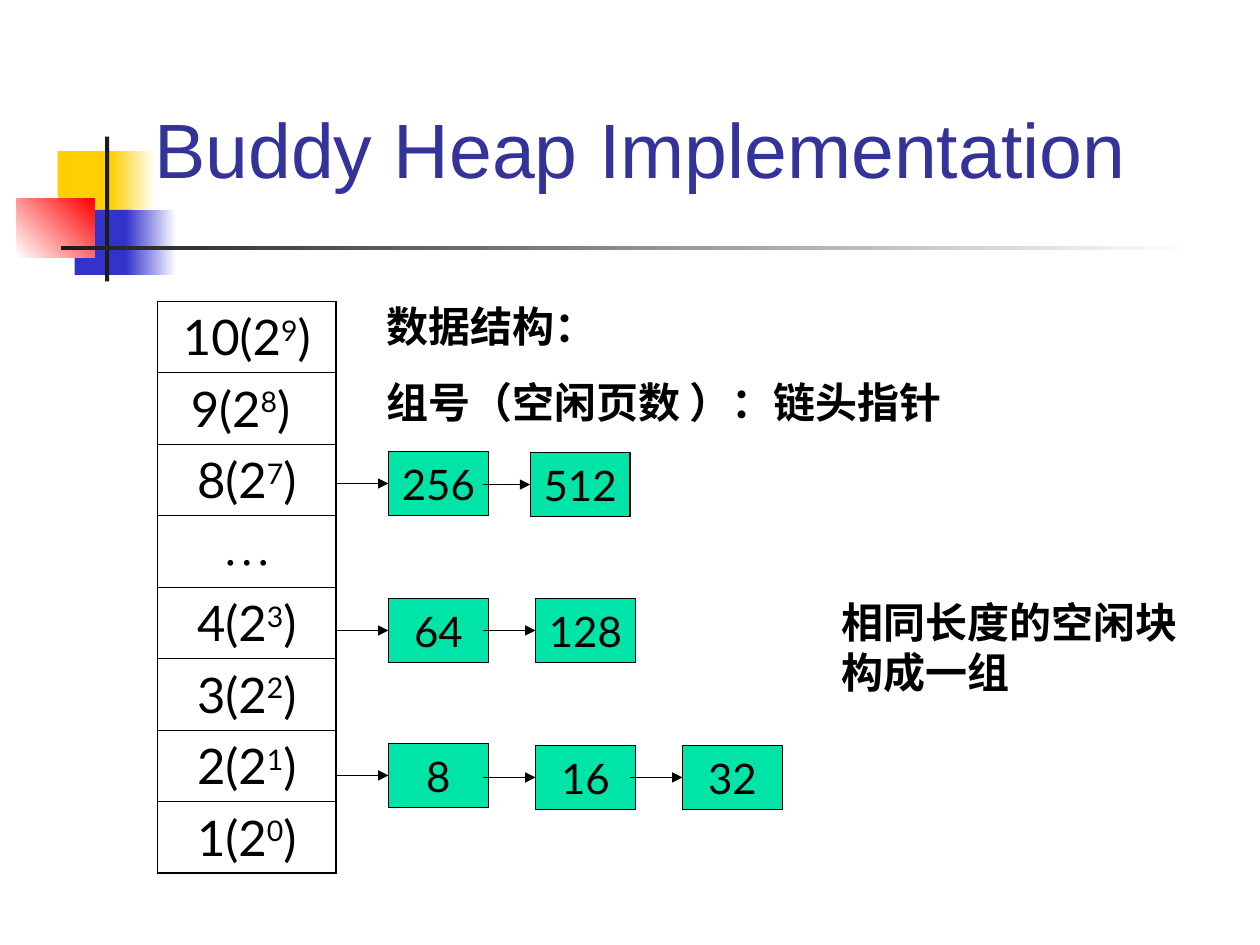
from lxml import etree
from pptx import Presentation
from pptx.dml.color import RGBColor
from pptx.enum import shapes, text
from pptx.oxml import ns
from pptx import util as u

COLUMNS, ROWS = 120, 90
BLACK = RGBColor(0x00, 0x00, 0x00)
WHITE = RGBColor(0xFF, 0xFF, 0xFF)
CHARCOAL = RGBColor(0x1C, 0x1C, 0x1C)
YELLOW = RGBColor(0xFF, 0xCF, 0x01)
BLUE = RGBColor(0x33, 0x33, 0xCC)
RED = RGBColor(0xFF, 0x00, 0x00)
INDIGO = RGBColor(0x33, 0x33, 0x99)
GREEN = RGBColor(0x00, 0xE4, 0xA8)

TABLE_LEFT, TABLE_TOP, TABLE_WIDTH, ROW_HEIGHT = 15, 28.7, 17, 6.8
BLOCK_WIDTH, BLOCK_HEIGHT = 9.5, 6.1
CHAIN_START, CHAIN_STEP = 32, 14

GROUPS = [("10", "9", ""), ("9", "8", " "), ("8", "7", ""), None,
          ("4", "3", ""), ("3", "2", ""), ("2", "1", ""), ("1", "0", "")]

CHAINS = [
    [("256", 37, 43), ("512", 50.5, 43.1)],
    [("64", 37, 57), ("128", 51, 57)],
    [("8", 37, 70.8), ("16", 51, 71), ("32", 65, 71)],
]

DECORATIONS = [
    ((5.5, 14.4, 5.8, 6.2), (YELLOW,), 0),
    ((10.5, 14.4, 4.3, 6.2), (YELLOW, WHITE), 0),
    ((7.1, 20, 5.5, 6.2), (BLUE,), 0),
    ((12, 20, 4.8, 6.2), (BLUE, WHITE), 0),
    ((1.6, 18.9, 7.4, 5.6), (WHITE, RED), 45),
    ((10, 13, 0.4, 13.8), (CHARCOAL,), 0),
    ((5.8, 23.4, 108, 0.4), (CHARCOAL, WHITE), 0),
]


def write(frame, *lines, font="Lato", size=24, color=BLACK, bold=False,
          align=text.PP_ALIGN.LEFT, gap=0):
    for index, line in enumerate(lines):
        para = frame.add_paragraph() if index else frame.paragraphs[0]
        para.alignment = align
        if index:
            para.space_before = u.Pt(gap)
        for content, baseline in line:
            span = para.add_run()
            span.text = content
            span.font.name = font
            span.font.size = u.Pt(size)
            span.font.bold = bold
            span.font.color.rgb = color
            if baseline:
                span.font._element.set("baseline", str(baseline * 1000))


class SlideBuilder:
    def __init__(self, deck):
        self.width, self.height = deck.slide_width, deck.slide_height
        self.page = deck.slides.add_slide(deck.slide_layouts[6])

    def across(self, columns):
        return u.Emu(round(self.width * columns / COLUMNS))

    def down(self, rows):
        return u.Emu(round(self.height * rows / ROWS))

    def area(self, left, top, width, height):
        return (self.across(left), self.down(top),
                self.across(width), self.down(height))

    def rectangle(self, place, colors, angle=0):
        box = self.page.shapes.add_shape(
            shapes.MSO_SHAPE.RECTANGLE, *self.area(*place))
        box.shadow.inherit = False
        box.line.fill.background()
        if len(colors) == 1:
            box.fill.solid()
            box.fill.fore_color.rgb = colors[0]
        else:
            box.fill.gradient()
            box.fill.gradient_angle = angle
            for stop, color in zip(box.fill.gradient_stops, colors):
                stop.color.rgb = color
        return box

    def block(self, label, left, top):
        box = self.rectangle((left, top, BLOCK_WIDTH, BLOCK_HEIGHT), (GREEN,))
        box.line.color.rgb = BLACK
        box.line.width = u.Pt(0.75)
        box.text_frame.word_wrap = False
        box.text_frame.vertical_anchor = text.MSO_ANCHOR.MIDDLE
        write(box.text_frame, [(label, 0)], align=text.PP_ALIGN.CENTER)
        return box

    def arrow(self, start, target):
        middle = target.top + target.height // 2
        line = self.page.shapes.add_connector(
            shapes.MSO_CONNECTOR.STRAIGHT, self.across(start), middle,
            target.left, middle)
        line.end_connect(target, 1)
        line.line.color.rgb = BLACK
        line.line.width = u.Pt(0.75)
        etree.SubElement(line.line._get_or_add_ln(), ns.qn("a:tailEnd"),
                         type="triangle")
        etree.SubElement(line._element.spPr, ns.qn("a:effectLst"))

    def chain(self, blocks):
        for index, (label, left, top) in enumerate(blocks):
            box = self.block(label, left, top)
            self.arrow(CHAIN_START + index * CHAIN_STEP, box)

    def text_box(self, place, *lines, anchor=text.MSO_ANCHOR.TOP, **style):
        box = self.page.shapes.add_textbox(*self.area(*place))
        box.text_frame.word_wrap = True
        box.text_frame.vertical_anchor = anchor
        write(box.text_frame, *([(line, 0)] for line in lines), **style)

    def border(self, cell, side, points):
        line = etree.SubElement(cell._tc.get_or_add_tcPr(),
                                ns.qn(f"a:ln{side}"), w=str(u.Pt(points)))
        fill = etree.SubElement(line, ns.qn("a:solidFill"))
        etree.SubElement(fill, ns.qn("a:srgbClr"), val=str(BLACK))

    def group_table(self, groups):
        count = len(groups)
        table = self.page.shapes.add_table(count, 1, *self.area(
            TABLE_LEFT, TABLE_TOP, TABLE_WIDTH, ROW_HEIGHT * count)).table
        table.first_row = table.horz_banding = False
        for index, group in enumerate(groups):
            cell = table.cell(index, 0)
            outer, inner = 1.08, 0.45
            self.border(cell, "L", outer)
            self.border(cell, "R", outer)
            self.border(cell, "T", inner if index else outer)
            self.border(cell, "B", outer if index == count - 1 else inner)
            cell.fill.background()
            if group:
                number, power, ending = group
                spans = [(f"{number}(2", 0), (power, 30), (f"){ending}", 0)]
            else:
                spans = [("…", 0)]
            write(cell.text_frame, spans, size=28,
                  font="Lato" if group else "Times New Roman",
                  align=text.PP_ALIGN.CENTER)


def main():
    deck = Presentation()
    deck.slide_width, deck.slide_height = u.Inches(10), u.Inches(7.5)
    slide = SlideBuilder(deck)
    for place, colors, angle in DECORATIONS:
        slide.rectangle(place, colors, angle)
    slide.group_table(GROUPS)
    slide.text_box((35.6, 28, 73, 13.3), "数据结构：",
                   "组号（空闲页数 ）：链头指针", bold=True, gap=15)
    slide.text_box((10, 7.2, 102, 13.8), "Buddy Heap Implementation",
                   font="Arial", size=44, color=INDIGO,
                   align=text.PP_ALIGN.CENTER, anchor=text.MSO_ANCHOR.MIDDLE)
    for blocks in CHAINS:
        slide.chain(blocks)
    slide.text_box((79, 56.2, 35, 10.8), "相同长度的空闲块构成一组", bold=True)
    deck.save("out.pptx")


if __name__ == "__main__":
    main()
